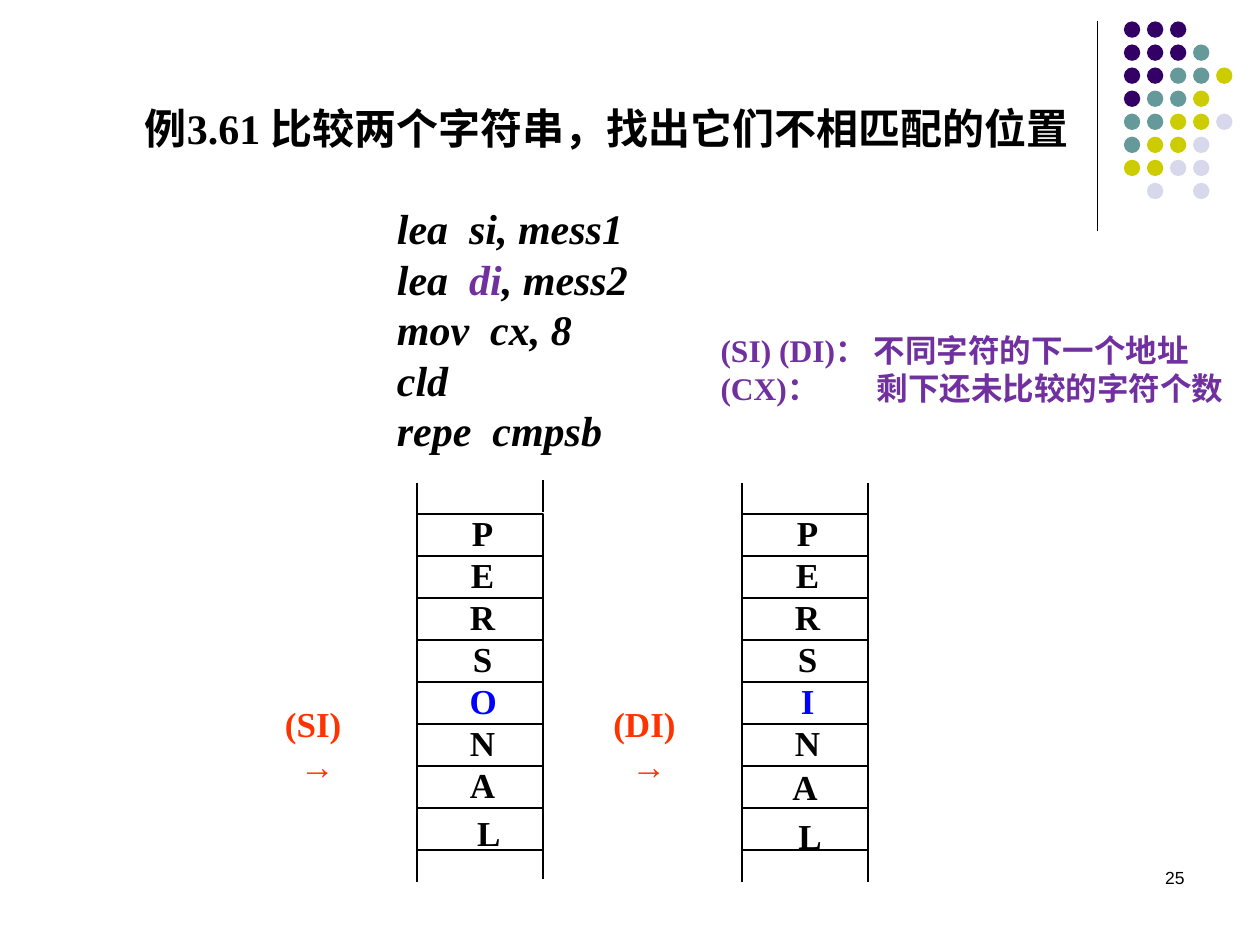
from lxml import etree
from pptx import Presentation
from pptx import util as u
from pptx.dml.color import RGBColor
from pptx.enum import shapes, text
from pptx.oxml.ns import qn

BLACK, PURPLE, BLUE, RED = "000000", "7030A0", "0000FF", "FF3300"
SERIF = "Times New Roman"

HEADING = "例3.61 比较两个字符串，找出它们不相匹配的位置"
CODE = [
    [("lea  si, mess1", BLACK)],
    [("lea  ", BLACK), ("di", PURPLE), (", mess2", BLACK)],
    [("mov  cx, 8", BLACK)],
    [("cld", BLACK)],
    [("repe  cmpsb", BLACK)],
]
RESULTS = ["(SI) (DI)： 不同字符的下一个地址", "(CX)：\t剩下还未比较的字符个数"]
PAGE = "25"

MISMATCH = 4
# nudges: row -> (dx, dy) of a letter; right_rail: upward shift of the right rails
MEMORY = [
    dict(left=3.31, word="PERSONAL", pointer="(SI)  →", pointer_mid=2.52,
         right_rail=0.02, nudges={7: (0.05, 0.05)}),
    dict(left=5.89, word="PERSINAL", pointer="(DI)  →", pointer_mid=5.15,
         right_rail=0, nudges={6: (-0.02, 0.02), 7: (0.02, 0.07)}),
]
CELL_TOP, CELL_W, CELL_H, RAIL = 4.08, 1, 1 / 3, 0.25

DOT_COLORS = {"p": "330066", "t": "669999", "y": "CCCC00", "l": "D8D8EC"}
DOT_ROWS = ["ppp", "pppt", "pptty", "ptty", "ttyyl", "tyyl", "yyll", " l l"]
DOT_LEFT, DOT_TOP, DOT_PITCH, DOT_SIZE = 8.92, 0.17, 0.183, 0.13


def rgb(value):
    return RGBColor.from_string(value)


def inches(*lengths):
    return [u.Inches(length) for length in lengths]


def style(run, size, color=BLACK, font=SERIF, bold=True, italic=False):
    run.font.size, run.font.name = u.Pt(size), font
    run.font.bold, run.font.italic = bold, italic
    run.font.color.rgb = rgb(color)


def add_label(slide, box, lines, size, color=BLACK, align=text.PP_ALIGN.LEFT,
              anchor=text.MSO_ANCHOR.TOP, wrap=True, **font):
    frame = slide.shapes.add_textbox(*inches(*box)).text_frame
    frame.text = "\n".join(lines)
    frame.word_wrap, frame.vertical_anchor = wrap, anchor
    for paragraph in frame.paragraphs:
        paragraph.alignment = align
        for run in paragraph.runs:
            style(run, size, color, **font)
    return frame


def add_line(slide, start, end, width=1):
    line = slide.shapes.add_connector(shapes.MSO_CONNECTOR.STRAIGHT, *inches(*start, *end))
    line.line.color.rgb, line.line.width = rgb(BLACK), u.Pt(width)
    etree.SubElement(line._element.spPr, qn("a:effectLst"))


def add_shape(slide, kind, box):
    shape = slide.shapes.add_shape(kind, *inches(*box))
    shape.shadow.inherit = False
    return shape


def place(placeholder, box):
    placeholder.left, placeholder.top, placeholder.width, placeholder.height = inches(*box)
    frame = placeholder.text_frame
    frame.word_wrap, frame.auto_size = True, text.MSO_AUTO_SIZE.NONE
    frame.vertical_anchor = text.MSO_ANCHOR.TOP
    frame.margin_top = frame.margin_bottom = 0
    return frame


def add_decoration(slide):
    add_line(slide, (8.71, 0.17), (8.71, 1.83), 0.75)
    for row, marks in enumerate(DOT_ROWS):
        for col, mark in enumerate(marks):
            if mark in DOT_COLORS:
                dot = add_shape(slide, shapes.MSO_SHAPE.OVAL,
                                (DOT_LEFT + col * DOT_PITCH, DOT_TOP + row * DOT_PITCH,
                                 DOT_SIZE, DOT_SIZE))
                dot.fill.solid()
                dot.fill.fore_color.rgb = rgb(DOT_COLORS[mark])
                dot.line.fill.background()


def add_heading_and_code(slide):
    heading = place(slide.shapes.title, (1.05, 0.81, 7.64, 0.8))
    heading.text = HEADING
    heading.paragraphs[0].alignment = text.PP_ALIGN.LEFT
    style(heading.paragraphs[0].runs[0], 24)

    body = place(slide.placeholders[1], (3.05, 1.61, 2.5, 2))
    for number, parts in enumerate(CODE):
        line = body.add_paragraph() if number else body.paragraphs[0]
        line.space_before = u.Pt(0)
        props = line._p.get_or_add_pPr()
        props.set("marL", "0")
        props.set("indent", "0")
        etree.SubElement(props, qn("a:buNone"))
        for words, color in parts:
            run = line.add_run()
            run.text = words
            style(run, 24, color, italic=True)


def add_memory(slide, left, word, pointer, pointer_mid, right_rail, nudges):
    """Draw one string as a column of cells with open ends and its pointer."""
    centered = dict(align=text.PP_ALIGN.CENTER, anchor=text.MSO_ANCHOR.MIDDLE)
    for row, letter in enumerate(word):
        top = CELL_TOP + row * CELL_H
        cell = add_shape(slide, shapes.MSO_SHAPE.RECTANGLE, (left, top, CELL_W, CELL_H))
        cell.fill.background()
        cell.line.color.rgb, cell.line.width = rgb(BLACK), u.Pt(1)
        dx, dy = nudges.get(row, (0, 0))
        add_label(slide, (left + 0.32 + dx, top - 0.07 + dy, 0.4, 0.43), [letter], 20,
                  BLUE if row == MISMATCH else BLACK, wrap=False, **centered)
    bottom = CELL_TOP + len(word) * CELL_H
    for x, shift in ((left, 0), (left + CELL_W, right_rail)):
        for y, reach in ((CELL_TOP, -RAIL), (bottom, RAIL)):
            add_line(slide, (x, y - shift), (x, y - shift + reach))
    add_label(slide, (pointer_mid - 0.45, 5.53, 0.9, 0.75), [pointer], 20, RED, **centered)


def add_results(slide):
    frame = add_label(slide, (5.62, 2.58, 4.22, 0.71), RESULTS, 18, PURPLE)
    tabs = etree.SubElement(frame.paragraphs[1]._p.get_or_add_pPr(), qn("a:tabLst"))
    etree.SubElement(tabs, qn("a:tab"), pos=str(u.Inches(1.24)), algn="l")


def main():
    deck = Presentation()
    deck.slide_width, deck.slide_height = inches(10, 7.5)
    slide = deck.slides.add_slide(deck.slide_layouts[1])
    add_decoration(slide)
    add_heading_and_code(slide)
    for column in MEMORY:
        add_memory(slide, **column)
    add_results(slide)
    add_label(slide, (7.17, 6.83, 2.33, 0.5), [PAGE], 10, align=text.PP_ALIGN.RIGHT,
              font="Arial", bold=False)
    deck.save("out.pptx")


if __name__ == "__main__":
    main()
